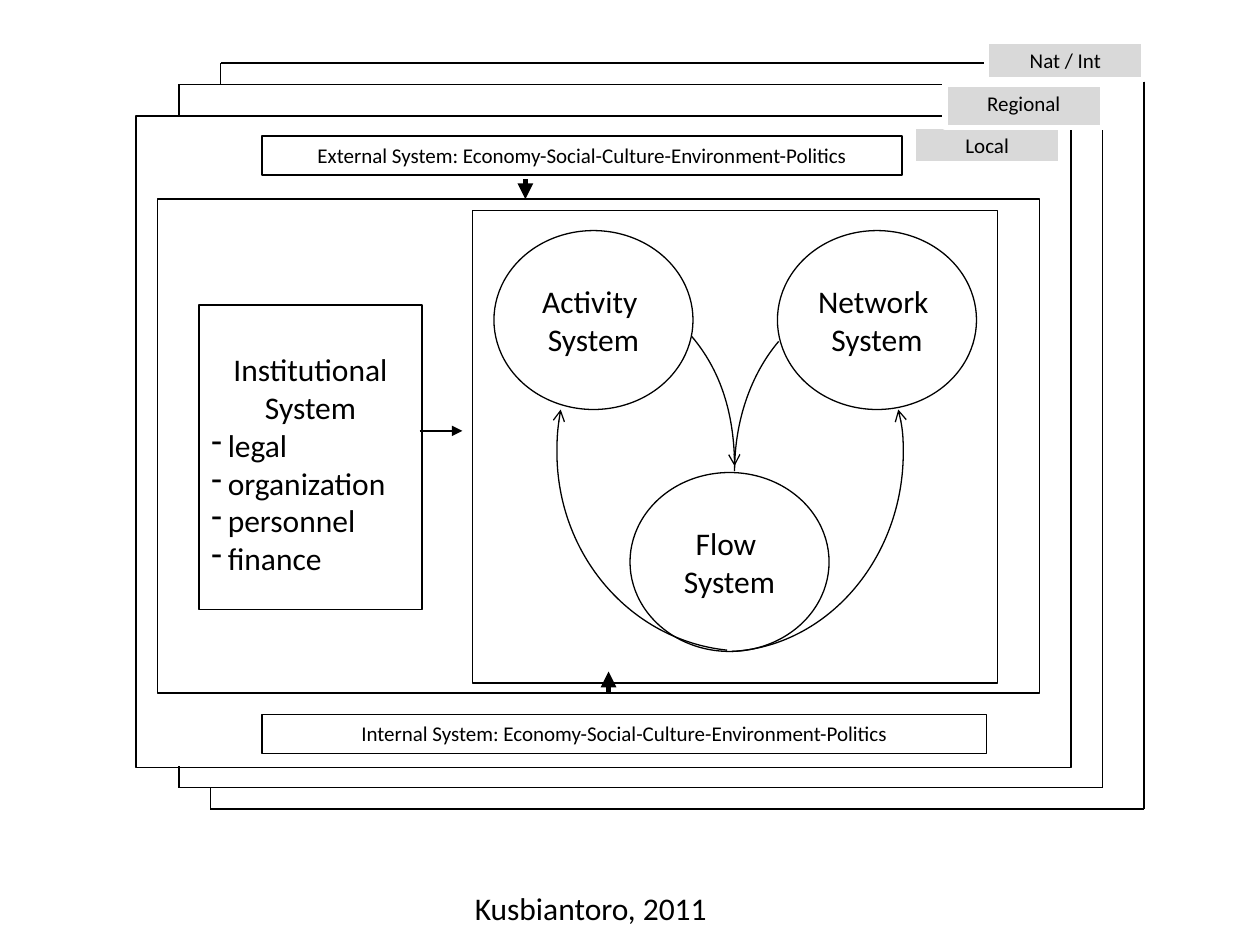
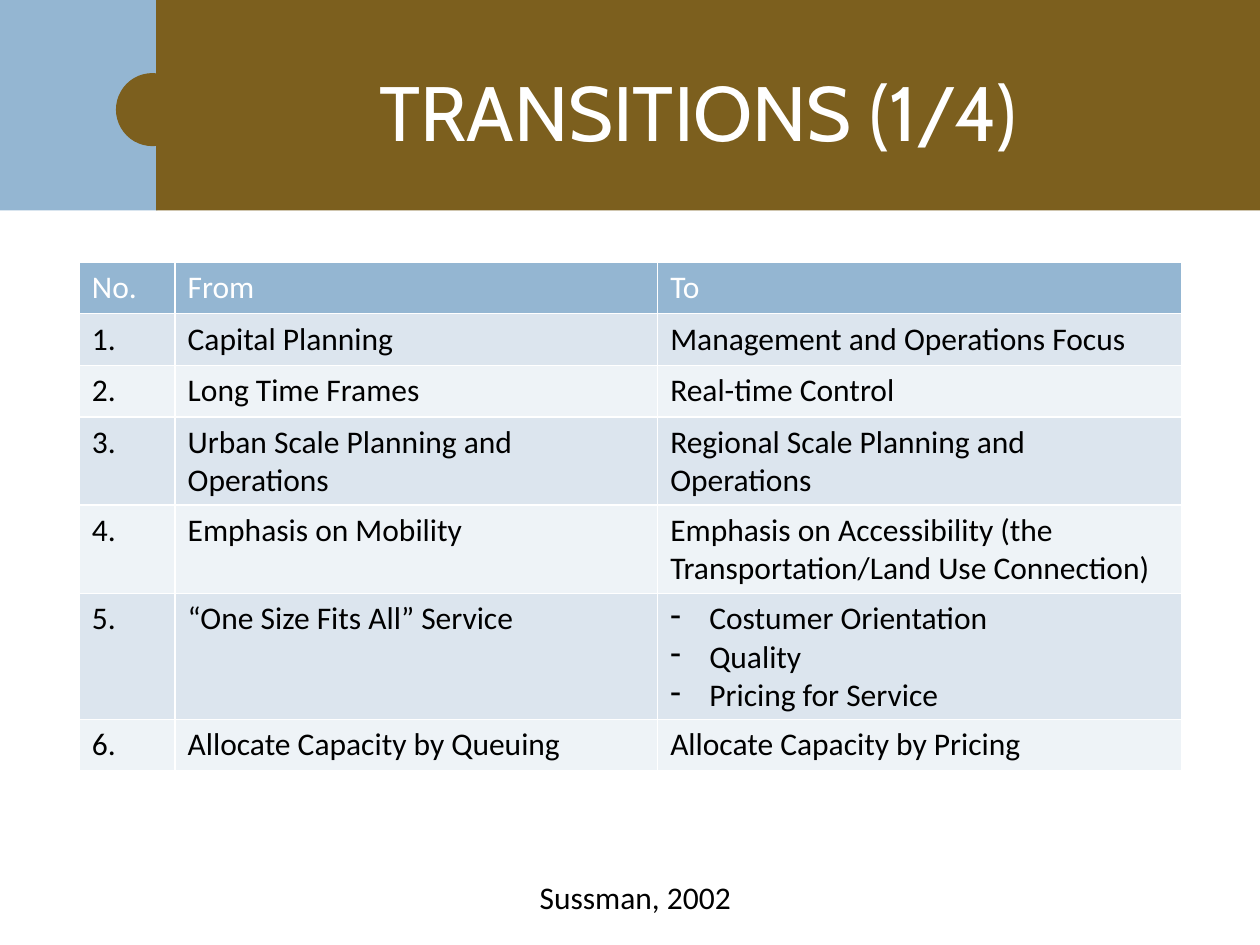
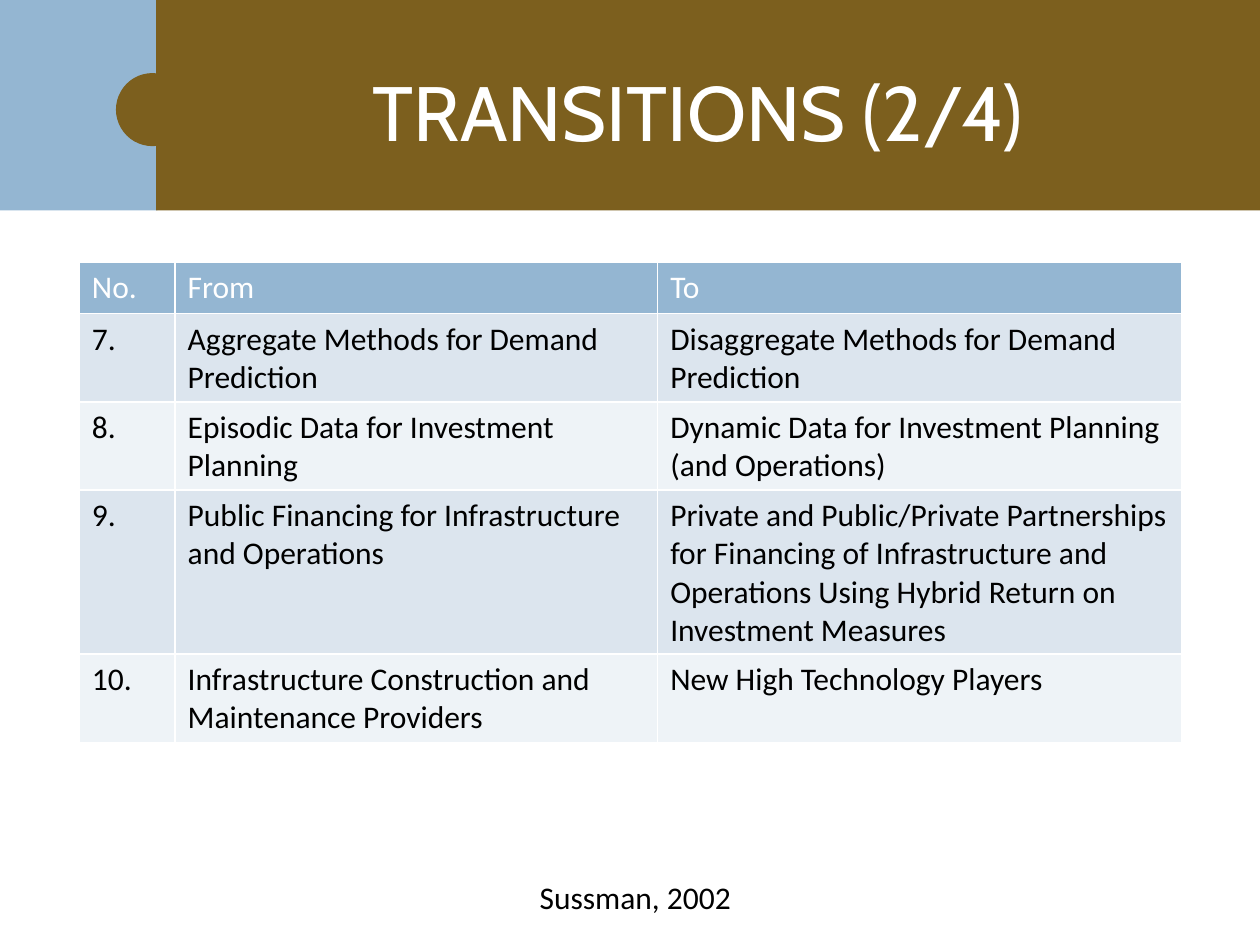
"""Build a transport system diagram and two transition tables."""

import dataclasses
import itertools
import typing

import lxml.etree
import pptx
import pptx.dml.color
import pptx.enum.shapes
import pptx.enum.text
import pptx.oxml.ns
import pptx.util

Inches = pptx.util.Inches
Shapes = pptx.enum.shapes.MSO_SHAPE
Align = pptx.enum.text.PP_ALIGN
Anchor = pptx.enum.text.MSO_ANCHOR
Point = tuple[float, float]
Area = tuple[float, float, float, float]

BLACK, WHITE, GREY = "000000", "FFFFFF", "D9D9D9"
BLUE, BROWN = "94B6D2", "7C5F1E"
BANDS = ("DCE5EE", "EEF3F7")
COLUMNS = (0.76, 3.83, 4.16)
ROW_HEIGHT = 0.41
HEADINGS = ("No.", "From", "To")
BULLET = "- "


@dataclasses.dataclass(frozen=True)
class Style:
    """Text format of a box or cell."""

    size: float = 18
    color: str = BLACK
    name: str = "Calibri"
    align: typing.Any = Align.CENTER
    indent: float = 0.13


@dataclasses.dataclass(frozen=True)
class Box:
    """A preset shape with optional text."""

    area: Area
    text: str = ""
    fill: str | None = None
    line: str | None = BLACK
    width: float = 0.75
    kind: typing.Any = Shapes.RECTANGLE
    style: Style = Style()
    anchor: typing.Any = Anchor.TOP
    wrap: bool = True
    top_inset: float = 0.05


@dataclasses.dataclass(frozen=True)
class Curve:
    """A chain of cubic curves: a start, then three points for each piece."""

    points: tuple[Point, ...]
    arrow: bool = True


@dataclasses.dataclass(frozen=True)
class Arrow:
    """A straight arrow."""

    start: Point
    end: Point
    width: float


@dataclasses.dataclass(frozen=True)
class Transition:
    """One numbered table row."""

    before: str
    after: str


LEFT = Style(align=Align.LEFT, indent=0.31)
HEADER = Style(color=WHITE, align=Align.LEFT)
TITLE = Style(size=44, color=WHITE, name="Cabin")
SMALL = Style(size=12)


def system(left: float, top: float, text: str) -> Box:
    """Describe one of the three system ellipses."""
    return Box((left, top, 1.58, 1.42), text, fill=WHITE, kind=Shapes.OVAL,
               anchor=Anchor.MIDDLE, wrap=False)


def level(left: float, top: float, width: float, height: float, text: str) -> Box:
    """Describe the grey tag of a spatial level."""
    return Box((left, top, width, height), text, GREY, WHITE, 3, style=SMALL)


FRAMES = (
    Box((1.08, 0.92, 7.42, 5.17)),
    Box((1.25, 1.58, 7, 3.92)),
    Box((3.75, 1.67, 4.17, 3.75)),
    Box((1.58, 2.42, 1.77, 2.42),
        "Institutional\nSystem\n- legal\n- organization\n- personnel\n- finance",
        top_inset=0.36),
    system(3.92, 1.83, "Activity \nSystem"),
    system(6.17, 1.83, "Network \nSystem"),
    system(5, 3.75, "Flow \nSystem"),
)
CURVES = (
    Curve(((5.81, 5.17), (6.57, 5.13), (7.17, 4.43), (7.17, 3.59),
           (7.17, 3.47), (7.16, 3.36), (7.13, 3.25))),
    Curve(((5.77, 5.16), (5, 5.08), (4.42, 4.4), (4.42, 3.59),
           (4.42, 3.47), (4.43, 3.36), (4.45, 3.25))),
    Curve(((5.49, 2.67), (5.71, 2.93), (5.83, 3.3), (5.83, 3.7))),
    Curve(((6.18, 2.71), (5.96, 2.97), (5.83, 3.34), (5.83, 3.74)), arrow=False),
)
CONTEXTS = (
    Box((2.08, 5.67, 5.75, 0.31),
        "Internal System: Economy-Social-Culture-Environment-Politics",
        fill=WHITE, width=1, style=SMALL),
    Box((2.08, 1.08, 5.08, 0.31),
        "External System: Economy-Social-Culture-Environment-Politics", style=SMALL),
    level(7.25, 1, 1.17, 0.3, "Local"),
)
OUTER_EDGES = (
    ((1.42, 0.92), (1.42, 0.67), (8.75, 0.67), (8.75, 6.25), (1.42, 6.25), (1.42, 6.08)),
    ((1.75, 0.67), (1.75, 0.5), (9.08, 0.5), (9.08, 6.42), (1.67, 6.42), (1.67, 6.25)),
)
OUTER_LEVELS = (
    level(7.5, 0.67, 1.25, 0.34, "Regional"),
    level(7.83, 0.33, 1.25, 0.3, "Nat / Int"),
)
ARROWS = (
    Arrow((4.83, 5.5), (4.83, 5.33), 3),
    Arrow((4.17, 1.42), (4.17, 1.58), 3),
    Arrow((3.33, 3.42), (3.67, 3.42), 0.75),
)
BAND = (
    Box((0, 0, 1.25, 1.67), fill=BLUE, line=None),
    Box((1.24, 0, 8.76, 1.67), fill=BROWN, line=None),
    Box((0.92, 0.58, 0.58, 0.58), fill=BROWN, line=None, kind=Shapes.OVAL),
)
TRANSITIONS = (
    (
        Transition("Capital Planning", "Management and Operations Focus"),
        Transition("Long Time Frames", "Real-time Control"),
        Transition("Urban Scale Planning and Operations",
                   "Regional Scale Planning and Operations"),
        Transition("Emphasis on Mobility",
                   "Emphasis on Accessibility (the Transportation/Land Use Connection)"),
        Transition("“One Size Fits All” Service",
                   "- Costumer Orientation\n- Quality\n- Pricing for Service"),
        Transition("Allocate Capacity by Queuing", "Allocate Capacity by Pricing"),
    ),
    (
        Transition("Aggregate Methods for Demand Prediction",
                   "Disaggregate Methods for Demand Prediction"),
        Transition("Episodic Data for Investment Planning",
                   "Dynamic Data for Investment Planning (and Operations)"),
        Transition("Public Financing for Infrastructure and Operations",
                   "Private and Public/Private Partnerships for Financing of Infrastructure "
                   "and Operations Using Hybrid Return on Investment Measures"),
        Transition("Infrastructure Construction and Maintenance Providers",
                   "New High Technology Players"),
    ),
)


def rgb(color: str) -> pptx.dml.color.RGBColor:
    """Turn a hex string into a colour."""
    return pptx.dml.color.RGBColor.from_string(color)


def apply(target: typing.Any, values: dict[str, typing.Any]) -> None:
    """Set each format value on the target."""
    for name, value in values.items():
        setattr(target, name, value)


def add_xml(parent: typing.Any, tag: str, **attributes: str) -> typing.Any:
    """Append an XML element with its attributes."""
    return lxml.etree.SubElement(parent, pptx.oxml.ns.qn(tag), attributes)


def paint(target: typing.Any, color: str | None) -> None:
    """Fill the target with a colour, or with nothing."""
    if color is None:
        target.fill.background()
    else:
        target.fill.solid()
        target.fill.fore_color.rgb = rgb(color)


def stroke(shape: typing.Any, color: str | None, width: float = 0.75,
           arrow: str | None = None) -> None:
    """Format an outline and its arrowhead."""
    paint(shape.line, color)
    if color is not None:
        shape.line.width = pptx.util.Pt(width)
    if arrow:
        add_xml(shape.line._get_or_add_ln(), "a:tailEnd", type=arrow)


def write(frame: typing.Any, text: str, style: Style) -> None:
    """Write one paragraph for each line of text, with dash bullets."""
    for index, content in enumerate(text.split("\n")):
        para = frame.add_paragraph() if index else frame.paragraphs[0]
        para.alignment = style.align
        if content.startswith(BULLET):
            para.alignment = Align.LEFT
            properties = para._p.get_or_add_pPr()
            indent = Inches(style.indent)
            properties.set("marL", str(indent))
            properties.set("indent", str(-indent))
            add_xml(properties, "a:buChar", char="-")
        span = para.add_run()
        span.text = content.removeprefix(BULLET)
        apply(span.font, {"size": pptx.util.Pt(style.size), "name": style.name, "bold": False})
        span.font.color.rgb = rgb(style.color)


def draw_box(page: typing.Any, box: Box) -> None:
    """Draw a preset shape and its text."""
    shape = page.shapes.add_shape(box.kind, *map(Inches, box.area))
    shape.shadow.inherit = False
    paint(shape, box.fill)
    stroke(shape, box.line, box.width)
    if box.text:
        apply(shape.text_frame, {"word_wrap": box.wrap, "vertical_anchor": box.anchor,
                                 "margin_top": Inches(box.top_inset)})
        write(shape.text_frame, box.text, box.style)


def draw_text(page: typing.Any, area: Area, text: str, style: Style, wrap: bool = False) -> None:
    """Draw a text box."""
    frame = page.shapes.add_textbox(*map(Inches, area)).text_frame
    apply(frame, {"word_wrap": wrap,
                  "vertical_anchor": Anchor.MIDDLE if wrap else Anchor.TOP})
    write(frame, text, style)


def draw_curve(page: typing.Any, curve: Curve) -> None:
    """Draw a freeform whose points are cubic control points."""
    start, *controls = [(Inches(x), Inches(y)) for x, y in curve.points]
    builder = page.shapes.build_freeform(*start)
    builder.add_line_segments(controls, close=False)
    shape = builder.convert_to_shape()
    outline = next(shape._element.iter(pptx.oxml.ns.qn("a:path")))
    segments = list(outline)[1:]
    for first in range(0, len(segments), 3):
        bezier = add_xml(outline, "a:cubicBezTo")
        for segment in segments[first:first + 3]:
            bezier.append(segment[0])
            outline.remove(segment)
    shape.shadow.inherit = False
    paint(shape, None)
    stroke(shape, BLACK, arrow="arrow" if curve.arrow else None)


def draw_line(page: typing.Any, start: Point, end: Point, width: float = 0.75,
              arrow: str | None = None) -> None:
    """Draw a straight connector."""
    line = page.shapes.add_connector(
        pptx.enum.shapes.MSO_CONNECTOR.STRAIGHT, *map(Inches, start + end))
    stroke(line, BLACK, width, arrow)
    add_xml(line._element.spPr, "a:effectLst")


def draw_table(page: typing.Any, rows: typing.Sequence[Transition], first: int) -> None:
    """Draw a banded table of numbered transitions."""
    texts = [HEADINGS] + [(f"{number}.", row.before, row.after)
                          for number, row in enumerate(rows, first)]
    area = (0.63, 2.08, sum(COLUMNS), ROW_HEIGHT * len(texts))
    table = page.shapes.add_table(len(texts), len(COLUMNS), *map(Inches, area)).table
    for column, width in zip(table.columns, COLUMNS):
        column.width = Inches(width)
    for index, (row, contents) in enumerate(zip(table.rows, texts)):
        for cell, content in zip(row.cells, contents):
            paint(cell, BANDS[(index - 1) % 2] if index else BLUE)
            write(cell.text_frame, content, LEFT if index else HEADER)


def draw_diagram(page: typing.Any) -> None:
    """Draw the systems within their spatial levels."""
    for box in FRAMES:
        draw_box(page, box)
    for curve in CURVES:
        draw_curve(page, curve)
    for box in CONTEXTS:
        draw_box(page, box)
    for edge in OUTER_EDGES:
        for start, end in itertools.pairwise(edge):
            draw_line(page, start, end)
    for box in OUTER_LEVELS:
        draw_box(page, box)
    for arrow in ARROWS:
        draw_line(page, arrow.start, arrow.end, arrow.width, "triangle")
    draw_text(page, (3.67, 7.01, 2.06, 0.4), "Kusbiantoro, 2011", LEFT)


def draw_transitions(page: typing.Any, part: int, first: int) -> None:
    """Draw one part of the transitions under the title band."""
    for box in BAND:
        draw_box(page, box)
    draw_text(page, (1.33, 0.25, 8.42, 1.25), f"TRANSITIONS ({part}/4)", TITLE, wrap=True)
    draw_table(page, TRANSITIONS[part - 1], first)
    draw_text(page, (4.1, 6.92, 1.8, 0.4), "Sussman, 2002", Style(align=Align.RIGHT))


def main() -> None:
    """Build and save the deck."""
    deck = pptx.Presentation()
    apply(deck, {"slide_width": Inches(10), "slide_height": Inches(7.5)})
    blank = deck.slide_layouts[6]
    draw_diagram(deck.slides.add_slide(blank))
    first = 1
    for part, rows in enumerate(TRANSITIONS, 1):
        draw_transitions(deck.slides.add_slide(blank), part, first)
        first += len(rows)
    deck.save("out.pptx")


if __name__ == "__main__":
    main()
